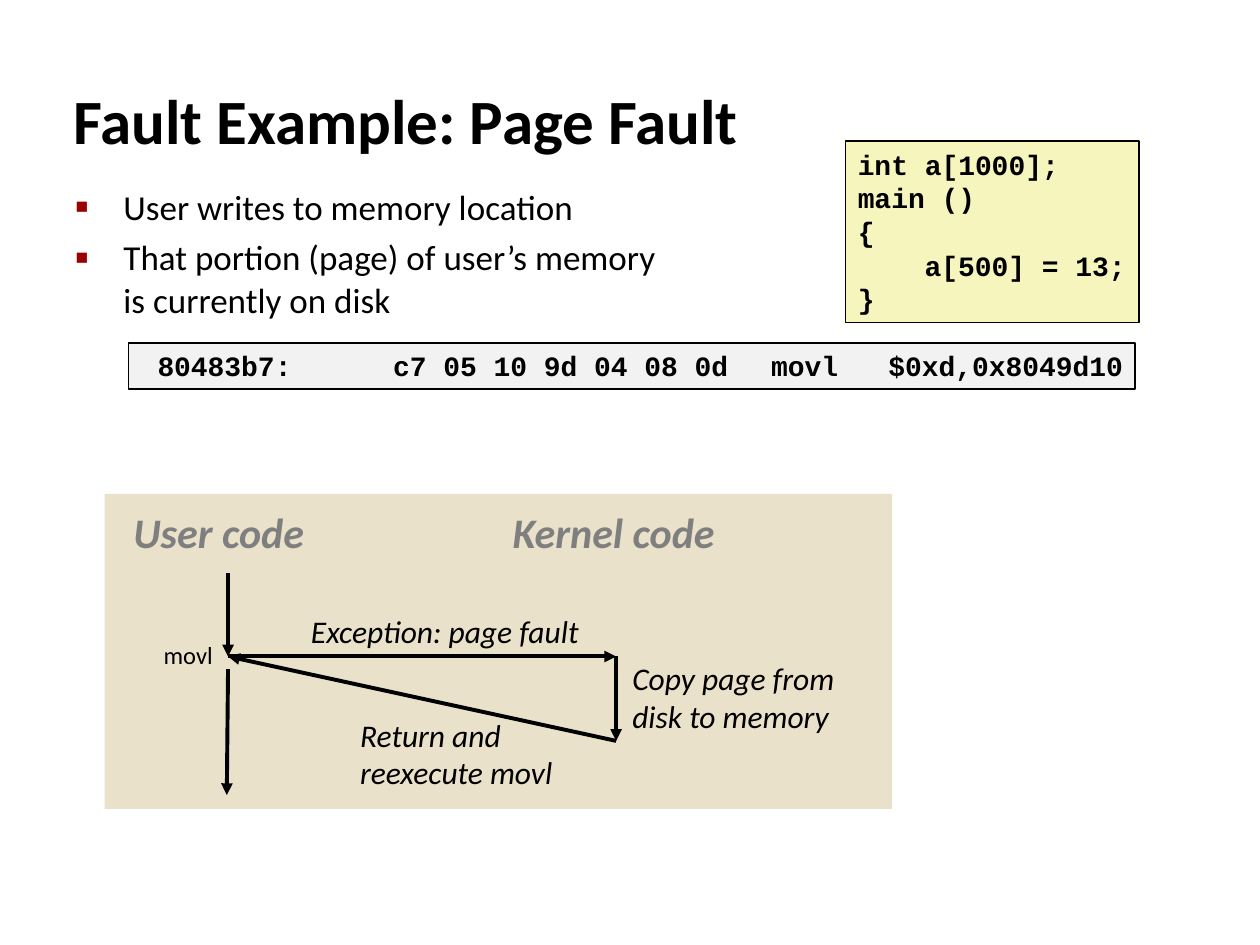
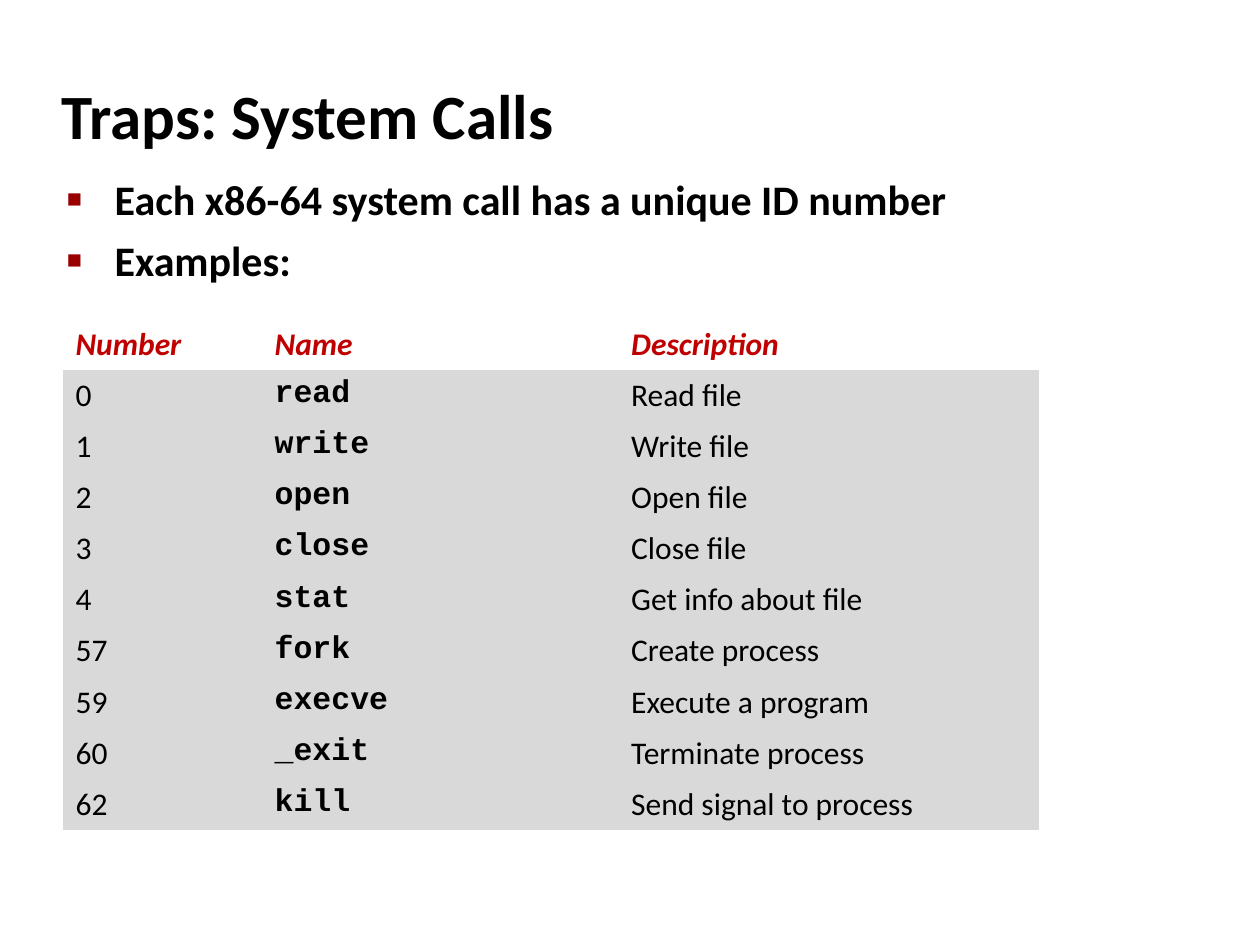
from pptx import Presentation
from pptx.dml.color import RGBColor
from pptx.enum.shapes import MSO_CONNECTOR, MSO_SHAPE
from pptx.enum.text import MSO_ANCHOR, MSO_AUTO_SIZE, PP_ALIGN
from pptx.oxml.ns import qn
from pptx.util import Inches, Pt
from lxml.etree import SubElement

BLACK = RGBColor(0x00, 0x00, 0x00)
WHITE = RGBColor(0xFF, 0xFF, 0xFF)
GRAY = RGBColor(0x7F, 0x7F, 0x7F)
SILVER = RGBColor(0xD9, 0xD9, 0xD9)
PALE = RGBColor(0xF2, 0xF2, 0xF2)
SAND = RGBColor(0xE9, 0xE1, 0xC9)
CREAM = RGBColor(0xF6, 0xF5, 0xBD)
RED = RGBColor(0xC0, 0x00, 0x00)
MAROON = RGBColor(0x99, 0x00, 0x00)
SANS = "Calibri"
MONO = "Courier New"


class Deck:
    def __init__(self):
        self.prs = Presentation()
        self.prs.slide_width = Inches(10)
        self.prs.slide_height = Inches(7.5)

    def start(self, title, box):
        """Add a slide and set its title."""
        self.slide = self.prs.slides.add_slide(self.prs.slide_layouts[1])
        shape = self.slide.shapes.title
        self.place(shape, box)
        frame = self.frame(shape)
        frame.vertical_anchor = MSO_ANCHOR.MIDDLE
        self.run(frame.paragraphs[0], title, 36, bold=True)

    def place(self, shape, box):
        shape.left, shape.top, shape.width, shape.height = map(Inches, box)

    def frame(self, shape, wrap=True):
        frame = shape.text_frame
        frame.word_wrap = wrap
        frame.auto_size = MSO_AUTO_SIZE.NONE
        frame.vertical_anchor = MSO_ANCHOR.TOP
        return frame

    def run(self, para, text, size, font=SANS, color=BLACK, bold=False, italic=False):
        para.alignment = PP_ALIGN.LEFT
        run = para.add_run()
        run.text = text
        style = run.font
        style.name, style.size = font, Pt(size)
        style.bold, style.italic = bold, italic
        style.color.rgb = color

    def lines(self, frame, items):
        """Yield one paragraph for each item."""
        for i, item in enumerate(items):
            yield (frame.add_paragraph() if i else frame.paragraphs[0]), item

    def bullets(self, items, box, size, gap, bold=False):
        shape = self.slide.placeholders[1]
        self.place(shape, box)
        for para, item in self.lines(self.frame(shape), items):
            para.space_before = Pt(gap)
            for i, part in enumerate(item.split("\n")):
                if i:
                    para.add_line_break()
                self.run(para, part, size, bold=bold)
            props = para._p.get_or_add_pPr()
            props.set("marL", str(Inches(0.38)))
            props.set("indent", str(-Inches(0.38)))
            tint = SubElement(props, qn("a:buClr"))
            SubElement(tint, qn("a:srgbClr"), val=str(MAROON))
            SubElement(props, qn("a:buSzPct"), val="60000")
            SubElement(props, qn("a:buChar"), char="■")

    def panel(self, box, fill, line=None):
        shape = self.slide.shapes.add_shape(MSO_SHAPE.RECTANGLE, *map(Inches, box))
        shape.shadow.inherit = False
        shape.fill.solid()
        shape.fill.fore_color.rgb = fill
        if line is None:
            shape.line.fill.background()
        else:
            shape.line.color.rgb = line
            shape.line.width = Pt(1)
        return shape

    def code(self, rows, box, fill, tabs, inset=0.1):
        frame = self.frame(self.panel(box, fill, BLACK), wrap=False)
        frame.margin_left = Inches(inset)
        for para, row in self.lines(frame, rows):
            para.line_spacing = 1.0
            self.run(para, row, 16, MONO, bold=True)
            stops = SubElement(para._p.get_or_add_pPr(), qn("a:tabLst"))
            for tab in tabs:
                SubElement(stops, qn("a:tab"), pos=str(Inches(tab)), algn="l")

    def label(self, text, box, size, wrap=False, **style):
        shape = self.slide.shapes.add_textbox(*map(Inches, box))
        self.run(self.frame(shape, wrap).paragraphs[0], text, size, **style)

    def arrow(self, start, end):
        line = self.slide.shapes.add_connector(
            MSO_CONNECTOR.STRAIGHT, *map(Inches, start + end))
        line.line.color.rgb = BLACK
        line.line.width = Pt(2.25)
        SubElement(line.line._get_or_add_ln(), qn("a:tailEnd"), type="triangle")
        SubElement(line._element.spPr, qn("a:effectLst"))

    def clear(self, cell):
        """Hide the cell's borders; call before the fill is set."""
        props = cell._tc.get_or_add_tcPr()
        for side in ("lnL", "lnR", "lnT", "lnB"):
            edge = SubElement(props, qn(f"a:{side}"), w="0")
            SubElement(edge, qn("a:noFill"))

    def table(self, rows, box, widths):
        grid = self.slide.shapes.add_table(
            len(rows), len(widths), *map(Inches, box)).table
        for col, width in zip(grid.columns, widths):
            col.width = Inches(width)
        for r, row in enumerate(rows):
            for c, text in enumerate(row):
                cell = grid.cell(r, c)
                self.clear(cell)
                cell.fill.solid()
                cell.fill.fore_color.rgb = SILVER if r else WHITE
                if r == 0:
                    style = dict(color=RED, bold=True, italic=True)
                elif c == 1:
                    style = dict(font=MONO, bold=True)
                else:
                    style = {}
                self.run(cell.text_frame.paragraphs[0], text, 18, **style)


def fault(deck):
    deck.start("Fault Example: Page Fault", (0.48, 0.64, 8.63, 0.61))
    deck.bullets(["User writes to memory location",
                  "That portion (page) of user’s memory \nis currently on disk"],
                 (0.5, 1.42, 8.92, 1.17), 20, 5)
    deck.panel((0.83, 3.92, 6.25, 2.5), SAND)
    deck.code(["int a[1000];", "main ()", "{", "\ta[500] = 13;", "}"],
              (6.71, 1.12, 2.33, 1.44), CREAM, [0.53])
    deck.code(["80483b7:\tc7 05 10 9d 04 08 0d\tmovl\t$0xd,0x8049d10"],
              (1.02, 2.72, 7.99, 0.37), PALE, [1.87, 4.87, 5.8], 0.23)

    for text, left, width in [("User code", 0.96, 1.56), ("Kernel code", 3.97, 1.81)]:
        deck.label(text, (left, 3.97, width, 0.5), 24,
                   color=GRAY, bold=True, italic=True)

    user, kernel, trap, done = 1.81, 4.89, 5.21, 5.88
    for start, end in [((user, 4.55), (user, trap)),
                       ((user, trap), (kernel, trap)),
                       ((kernel, trap), (kernel, done)),
                       ((kernel, done), (user, trap)),
                       ((user, 5.31), (1.8, 6.31))]:
        deck.arrow(start, end)

    for text, box, wrap in [
            ("Exception: page fault", (2.37, 4.81, 2.34, 0.4), False),
            ("Copy page from disk to memory", (4.92, 5.18, 2.16, 0.7), True),
            ("Return and reexecute movl", (2.76, 5.63, 1.99, 0.7), True)]:
        deck.label(text, box, 18, wrap, italic=True)
    deck.label("movl", (1.2, 5.03, 0.59, 0.34), 14)


def traps(deck):
    deck.start("Traps: System Calls", (0.39, 0.49, 8.3, 0.83))
    deck.bullets(["Each x86-64 system call has a unique ID number", "Examples:"],
                 (0.43, 1.33, 8.64, 5.83), 24, 6, bold=True)
    deck.table([("Number", "Name", "Description"),
                ("0", "read", "Read file"),
                ("1", "write", "Write file"),
                ("2", "open", "Open file"),
                ("3", "close", "Close file"),
                ("4", "stat", "Get info about file"),
                ("57", "fork", "Create process"),
                ("59", "execve", "Execute a program"),
                ("60", "_exit", "Terminate process"),
                ("62", "kill", "Send signal to process")],
               (0.5, 2.53, 7.75, 4.06), (1.58, 2.83, 3.34))


def main():
    deck = Deck()
    fault(deck)
    traps(deck)
    deck.prs.save("out.pptx")


if __name__ == "__main__":
    main()
